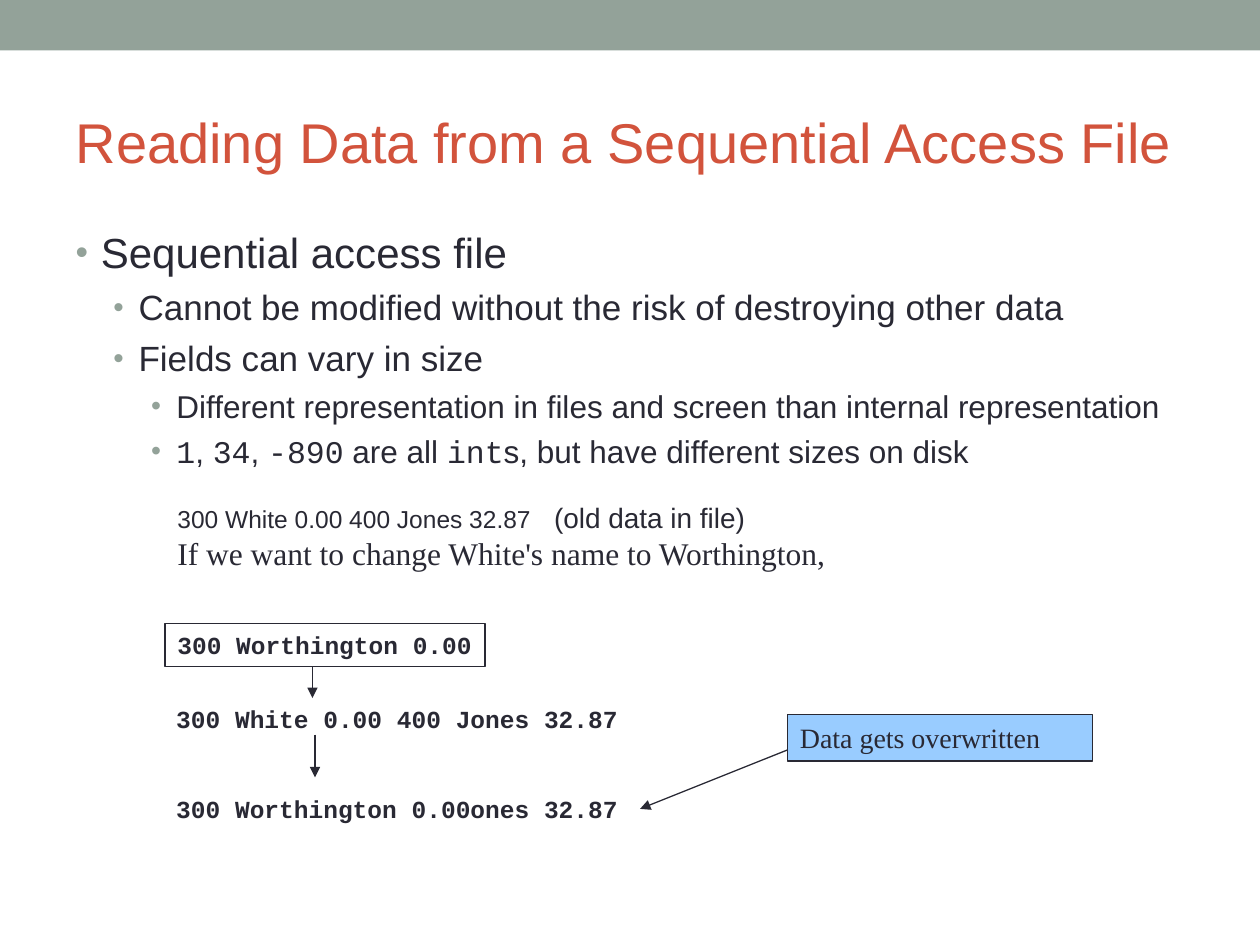
import pptx
import pptx.util
import pptx.dml.color
import pptx.enum.shapes
import pptx.enum.text
import pptx.oxml
import pptx.oxml.ns

Inches = pptx.util.Inches
RGBColor = pptx.dml.color.RGBColor

WHITE = RGBColor(0xFF, 0xFF, 0xFF)
SAGE = RGBColor(0x93, 0xA2, 0x99)
RUST = RGBColor(0xD2, 0x53, 0x3C)
INK = RGBColor(0x29, 0x29, 0x34)
SKY = RGBColor(0x99, 0xCC, 0xFF)

SANS, MONO, SERIF = "Arial", "Courier New", "Times New Roman"

# Per list level: text size, left indent, space before, bullet size in percent
LEVELS = [(24, 0.2, 6, 85), (20, 0.5, 5, 85), (18, 0.8, 4.5, 90)]

BULLETS = [
    (0, [("Sequential access file", SANS)]),
    (1, [("Cannot be modified without the risk of destroying other data", SANS)]),
    (1, [("Fields can vary in size", SANS)]),
    (2, [("Different representation in files and screen than internal representation", SANS)]),
    (2, [("1", MONO), (", ", SANS), ("34", MONO), (", ", SANS), ("-890", MONO),
         (" are all ", SANS), ("int", MONO),
         ("s, but have different sizes on disk", SANS)]),
]


def add_run(paragraph, text, size, font, color=INK, bold=False):
    run = paragraph.add_run()
    run.text = text
    run.font.size = pptx.util.Pt(size)
    run.font.name = font
    run.font.bold = bold
    run.font.color.rgb = color


def add_property(paragraph, tag, **attributes):
    element = pptx.oxml.ns.qn(tag)
    properties = paragraph._p.get_or_add_pPr()
    child = properties.makeelement(element, attributes)
    properties.append(child)
    return child


def place(shape, left, top, width, height):
    shape.left, shape.top = Inches(left), Inches(top)
    shape.width, shape.height = Inches(width), Inches(height)


def fill_title(shape, text):
    place(shape, 0.5, 0.58, 9, 1.08)
    frame = shape.text_frame
    frame.auto_size = pptx.enum.text.MSO_AUTO_SIZE.NONE
    frame.vertical_anchor = pptx.enum.text.MSO_ANCHOR.MIDDLE
    paragraph = frame.paragraphs[0]
    paragraph.alignment = pptx.enum.text.PP_ALIGN.LEFT
    add_run(paragraph, text, 32, SANS, RUST)


def fill_bullets(shape, bullets):
    place(shape, 0.5, 1.75, 9, 5.33)
    frame = shape.text_frame
    frame.auto_size = pptx.enum.text.MSO_AUTO_SIZE.NONE
    for index, (level, pieces) in enumerate(bullets):
        paragraph = frame.add_paragraph() if index else frame.paragraphs[0]
        size, indent, space, bullet_size = LEVELS[level]
        paragraph.level = level
        paragraph.space_before = pptx.util.Pt(space)
        properties = paragraph._p.get_or_add_pPr()
        properties.set("marL", str(Inches(indent)))
        properties.set("indent", str(Inches(-0.2)))
        bullet_color = add_property(paragraph, "a:buClr")
        bullet_color.append(bullet_color.makeelement(
            pptx.oxml.ns.qn("a:srgbClr"), {"val": str(SAGE)}))
        add_property(paragraph, "a:buSzPct", val=str(bullet_size * 1000))
        add_property(paragraph, "a:buFont", typeface=SANS)
        add_property(paragraph, "a:buChar", char="•")
        for text, font in pieces:
            add_run(paragraph, text, size, font)


def add_text(slide, left, top, width, height, wrap=False):
    """Add an empty text box and return its text frame."""
    box = slide.shapes.add_textbox(
        Inches(left), Inches(top), Inches(width), Inches(height))
    box.text_frame.word_wrap = wrap
    return box.text_frame


def add_box(slide, left, top, width, height, fill, outlined=True):
    """Add a filled rectangle and return its first paragraph."""
    shape = slide.shapes.add_shape(
        pptx.enum.shapes.MSO_SHAPE.RECTANGLE,
        Inches(left), Inches(top), Inches(width), Inches(height))
    shape.shadow.inherit = False
    shape.fill.solid()
    shape.fill.fore_color.rgb = fill
    if outlined:
        shape.line.color.rgb = INK
        shape.line.width = pptx.util.Pt(0.75)
    else:
        shape.line.fill.background()
    shape.text_frame.word_wrap = False
    shape.text_frame.vertical_anchor = pptx.enum.text.MSO_ANCHOR.TOP
    paragraph = shape.text_frame.paragraphs[0]
    paragraph.alignment = pptx.enum.text.PP_ALIGN.LEFT
    return paragraph


def add_arrow(slide, start_x, start_y, end_x, end_y):
    arrow = slide.shapes.add_connector(
        pptx.enum.shapes.MSO_CONNECTOR.STRAIGHT,
        Inches(start_x), Inches(start_y), Inches(end_x), Inches(end_y))
    arrow.line.color.rgb = INK
    arrow.line.width = pptx.util.Pt(0.75)
    line = arrow.line._get_or_add_ln()
    line.append(line.makeelement(pptx.oxml.ns.qn("a:tailEnd"), {"type": "triangle"}))
    properties = arrow._element.spPr
    properties.append(properties.makeelement(pptx.oxml.ns.qn("a:effectLst"), {}))


def add_old_data(slide):
    frame = add_text(slide, 1.31, 3.92, 7, 0.67, wrap=True)
    record = frame.paragraphs[0]
    tabs = add_property(record, "a:tabLst")
    tabs.append(tabs.makeelement(
        pptx.oxml.ns.qn("a:tab"), {"pos": str(Inches(2.99)), "algn": "l"}))
    add_run(record, "300 White 0.00 400 Jones 32.87", 14, SANS)
    add_run(record, "\t(old data in file)", 16, SANS)
    add_run(frame.add_paragraph(),
            "If we want to change White's name to Worthington,", 18, SERIF)


def main():
    presentation = pptx.Presentation()
    presentation.slide_width, presentation.slide_height = Inches(10), Inches(7.5)
    slide = presentation.slides.add_slide(presentation.slide_layouts[1])

    # Top band, title and list
    add_box(slide, 0, 0, 10, 0.4, SAGE, outlined=False)
    fill_title(slide.shapes.title, "Reading Data from a Sequential Access File")
    fill_bullets(slide.placeholders[1], BULLETS)

    # File contents before and after the change
    add_old_data(slide)
    for top, record in [(5.54, "300 White 0.00 400 Jones 32.87"),
                        (6.25, "300 Worthington 0.00ones 32.87")]:
        frame = add_text(slide, 1.3, top, 3.71, 0.34)
        add_run(frame.paragraphs[0], record, 14, MONO, bold=True)

    # Arrows, partly behind the boxes they start from
    add_arrow(slide, 2.48, 5.2, 2.48, 5.54)
    add_arrow(slide, 2.5, 5.83, 2.5, 6.17)
    add_arrow(slide, 6.33, 5.92, 5.08, 6.42)

    # New record and callout
    new_record = add_box(slide, 1.31, 4.95, 2.54, 0.34, WHITE)
    add_run(new_record, "300 Worthington 0.00", 14, MONO, bold=True)
    callout = add_box(slide, 6.25, 5.67, 2.42, 0.37, SKY)
    add_run(callout, "Data gets overwritten", 16, SERIF)

    presentation.save("out.pptx")


if __name__ == "__main__":
    main()
